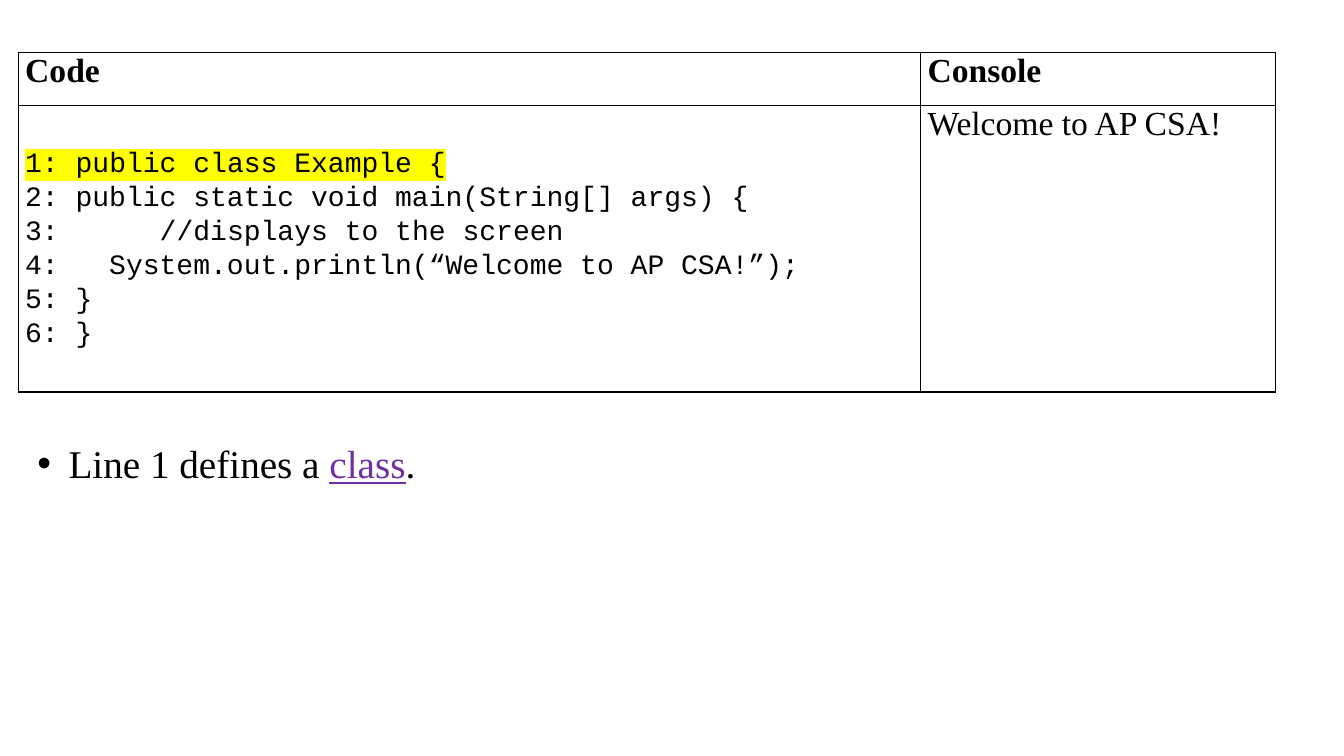
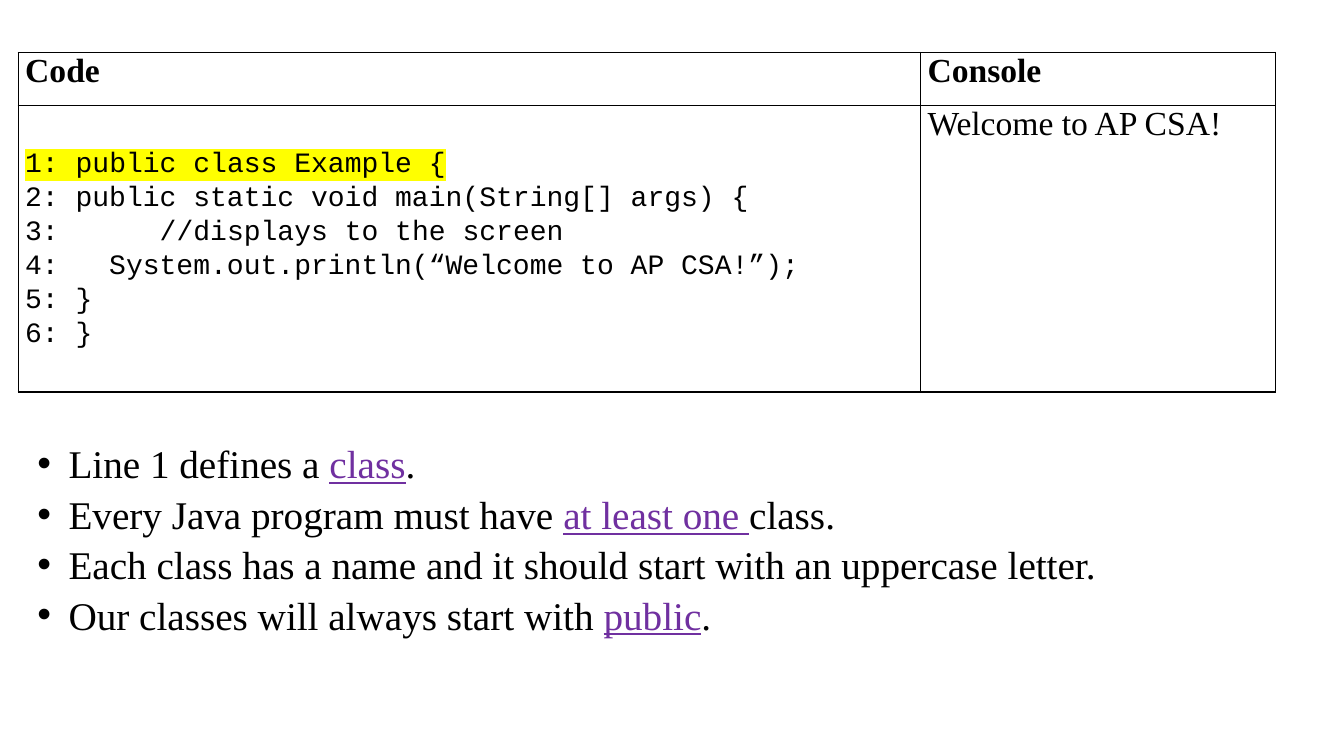
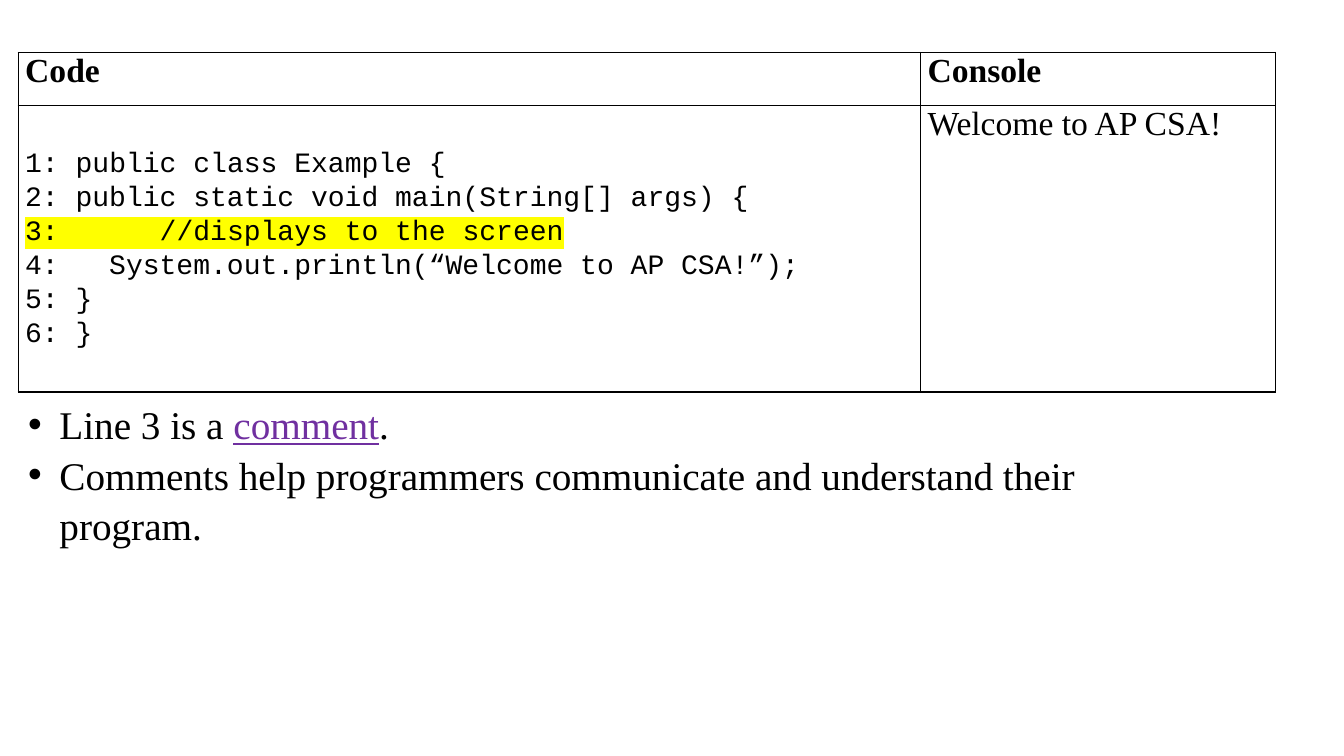
"""Build three slides that walk through a first Java program."""
import pptx
import pptx.dml.color
import pptx.enum.text
import pptx.oxml
import pptx.oxml.ns
import pptx.util
from pptx.util import Inches

SERIF, MONO = "Times New Roman", "Courier New"
BLACK, PURPLE, YELLOW = "000000", "7030A0", "FFFF00"
HEADING = {"name": SERIF, "size": pptx.util.Pt(24), "bold": True}
CONSOLE = {"name": SERIF, "size": pptx.util.Pt(24), "bold": False}
CODE = {"name": MONO, "size": pptx.util.Pt(20), "bold": False}
BULLET = {"name": SERIF, "size": pptx.util.Pt(28)}
KEY_TERM = {**BULLET, "underline": True}
LINE_SPACING = 1.07
COLUMN_WIDTHS = (8.95, 3.52)
ROW_HEIGHTS = (0.53, 2.84)
TABLE_LEFT, TABLE_TOP = 0.18, 0.52

CODE_LINES = [
    "1: public class Example {",
    "2:\tpublic static void main(String[] args) {",
    "3:      //displays to the screen",
    "4:\t  System.out.println(“Welcome to AP CSA!”);",
    "5:\t}",
    "6: }",
]
CONSOLE_LINES = ["Welcome to AP CSA!"]
CLASS_POINTS = [
    "Line 1 defines a *class*.",
    "Every Java program must have *at least one *class.",
    "Each class has a name and it should start with an uppercase letter.",
    "Our classes will always start with *public*.",
]
COMMENT_POINTS = [
    "Line 3 is a *comment*.",
    "Comments help programmers communicate and understand their program.",
]
SLIDES = [
    {"marked_line": 1, "points": CLASS_POINTS[:1], "list_at": (0.27, 4.28, 12.04, 0.57)},
    {"marked_line": 1, "points": CLASS_POINTS, "list_at": (0.27, 4.28, 12.04, 2.08)},
    {"marked_line": 3, "points": COMMENT_POINTS, "list_at": (0.18, 3.89, 12.04, 1.58)},
]


def set_all(target, values):
    """Set every attribute in a dict on the target."""
    for name, value in values.items():
        setattr(target, name, value)


def xml(markup):
    """Parse one drawing element."""
    head, rest = markup.split(" ", 1)
    return pptx.oxml.parse_xml(f"{head} {pptx.oxml.ns.nsdecls('a')} {rest}")


def add_span(para, text, style, color=BLACK, highlight=None):
    """Add one formatted run to a paragraph."""
    span = para.add_run()
    span.text = text
    set_all(span.font, style)
    span.font.color.rgb = pptx.dml.color.RGBColor.from_string(color)
    if highlight:
        fill = span.font._element.find(pptx.oxml.ns.qn("a:solidFill"))
        fill.addnext(xml(f'<a:highlight ><a:srgbClr val="{highlight}"/></a:highlight>'))


def each_paragraph(frame, lines):
    """Yield a paragraph of the frame with each line."""
    for index, line in enumerate(lines):
        yield (frame.add_paragraph() if index else frame.paragraphs[0]), line


def format_cell(cell):
    """Give a cell thin black borders, no fill and tight margins."""
    properties = cell._tc.get_or_add_tcPr()
    for side in "LRTB":
        properties.append(xml(
            f'<a:ln{side} w="12700"><a:solidFill><a:srgbClr val="{BLACK}"/></a:solidFill></a:ln{side}>'))
    cell.fill.background()
    set_all(cell, {"margin_left": Inches(0.07), "margin_right": Inches(0.07),
                   "margin_top": 0, "margin_bottom": 0})


def add_code_table(page, marked_line):
    """Add the code and console table with one code line highlighted."""
    table = page.shapes.add_table(
        2, 2, Inches(TABLE_LEFT), Inches(TABLE_TOP),
        Inches(sum(COLUMN_WIDTHS)), Inches(sum(ROW_HEIGHTS))).table
    set_all(table, {"first_row": False, "horz_banding": False})
    for column, width in zip(table.columns, COLUMN_WIDTHS):
        column.width = Inches(width)
    for row, height in zip(table.rows, ROW_HEIGHTS):
        row.height = Inches(height)
    contents = [(["Code"], HEADING), (["Console"], HEADING),
                (CODE_LINES, CODE), (CONSOLE_LINES, CONSOLE)]
    for cell, (lines, style) in zip(table.iter_cells(), contents):
        format_cell(cell)
        for para, line in each_paragraph(cell.text_frame, lines):
            marked = style is CODE and line.startswith(f"{marked_line}:")
            add_span(para, line, style, highlight=YELLOW if marked else None)
            if style is CODE:
                para.line_spacing = LINE_SPACING
    table.cell(1, 0).vertical_anchor = pptx.enum.text.MSO_ANCHOR.MIDDLE


def add_points(page, points, place):
    """Fill the body placeholder with bullets, key terms between asterisks."""
    box = page.placeholders[1]
    set_all(box, dict(zip(("left", "top", "width", "height"), map(Inches, place))))
    frame = box.text_frame
    set_all(frame, {"word_wrap": True, "auto_size": pptx.enum.text.MSO_AUTO_SIZE.SHAPE_TO_FIT_TEXT,
                    "vertical_anchor": pptx.enum.text.MSO_ANCHOR.TOP})
    for para, point in each_paragraph(frame, points):
        properties = para._p.get_or_add_pPr()
        properties.set("marL", str(Inches(0.31)))
        properties.set("indent", str(-Inches(0.31)))
        properties.append(xml('<a:buFont typeface="Arial"/>'))
        properties.append(xml('<a:buChar char="•"/>'))
        set_all(para, {"line_spacing": LINE_SPACING, "space_before": 0, "space_after": 0})
        for index, text in enumerate(point.split("*")):
            is_term = index % 2 == 1
            add_span(para, text, KEY_TERM if is_term else BULLET, PURPLE if is_term else BLACK)


def main():
    """Build and save the deck."""
    deck = pptx.Presentation()
    set_all(deck, {"slide_width": Inches(13.33), "slide_height": Inches(7.5)})
    for content in SLIDES:
        page = deck.slides.add_slide(deck.slide_layouts[1])
        title = page.shapes.title._element
        title.getparent().remove(title)
        add_code_table(page, content["marked_line"])
        add_points(page, content["points"], content["list_at"])
    deck.save("out.pptx")


if __name__ == "__main__":
    main()
